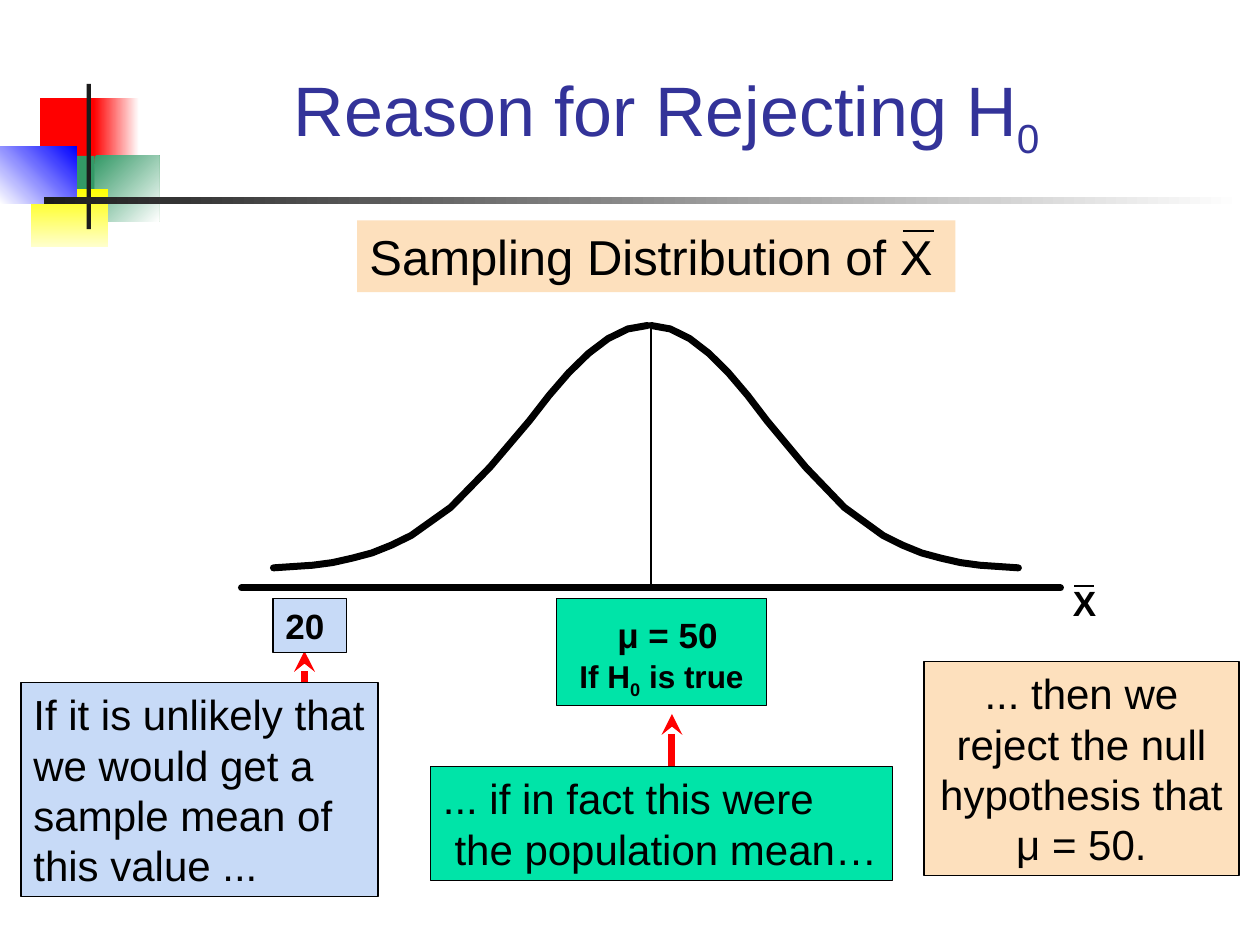
"""Build a slide on the reason for rejecting a null hypothesis."""
from dataclasses import dataclass, field
from typing import Any, Optional

from pptx import Presentation
from pptx.dml.color import RGBColor
from pptx.enum.shapes import MSO_CONNECTOR, MSO_SHAPE
from pptx.enum.text import MSO_ANCHOR, MSO_AUTO_SIZE, PP_ALIGN
from pptx.oxml.ns import qn
from pptx.util import Pt

RECTANGLE = MSO_SHAPE.RECTANGLE
STRAIGHT = MSO_CONNECTOR.STRAIGHT
LEFT, CENTER = PP_ALIGN.LEFT, PP_ALIGN.CENTER
TOP, BOTTOM = MSO_ANCHOR.TOP, MSO_ANCHOR.BOTTOM
GROW, FIXED = MSO_AUTO_SIZE.SHAPE_TO_FIT_TEXT, MSO_AUTO_SIZE.NONE


@dataclass(frozen=True)
class Theme:
    font: str = "Arial"
    black: str = "000000"
    title: str = "333399"
    peach: str = "FDE0BD"
    mint: str = "00E4A8"
    sky: str = "C7DAF7"
    arrow: str = "FF0000"
    red: str = "FF0000"
    green: str = "339966"
    yellow: str = "FFFF00"
    cream: str = "FFFFCC"
    blue: str = "0000FF"
    dark: str = "1C1C1C"
    white: str = "FFFFFF"
    title_size: float = 40
    heading_size: float = 28
    spacer_size: float = 25
    body_size: float = 24
    value_size: float = 20
    note_size: float = 18
    thin: float = 0.75
    bar: float = 1.5
    heavy: float = 4


THEME = Theme()


@dataclass(frozen=True)
class Block:
    left: float
    top: float
    width: float
    height: float
    start: str
    end: Optional[str] = None
    angle: float = 0


@dataclass(frozen=True)
class Span:
    text: str
    size: float
    bold: bool = False
    subscript: bool = False


@dataclass(frozen=True)
class Label:
    left: float
    top: float
    width: float
    height: float
    paragraphs: list[list[Span]]
    fill: Optional[str] = None
    outline: bool = True
    color: str = THEME.black
    align: Any = LEFT
    frame: dict[str, Any] = field(default_factory=dict)


@dataclass(frozen=True)
class Line:
    x1: float
    y1: float
    x2: float
    y2: float
    weight: float
    color: str = THEME.black
    arrow: bool = False
    rounded: bool = False


FRAME = {
    "word_wrap": True, "auto_size": GROW, "vertical_anchor": TOP,
    "margin_left": Pt(7.2), "margin_right": Pt(7.2),
    "margin_top": Pt(3.6), "margin_bottom": Pt(3.6),
}

DECORATION = [
    Block(23, 56, 34.5, 37.5, THEME.red),
    Block(53.5, 56, 26, 37.5, THEME.red, THEME.white),
    Block(54, 89, 37, 37.5, THEME.green, THEME.white, 45),
    Block(31, 89, 23, 37.5, THEME.green),
    Block(18, 108, 44, 33, THEME.yellow, THEME.cream, 90),
    Block(0, 83.5, 44, 33, THEME.white, THEME.blue, 315),
    Block(49.5, 48, 2.5, 83, THEME.dark),
    Block(25, 112.5, 685, 4, THEME.dark, THEME.white),
]

ARROWS = [
    Line(174, 396, 174, 372, THEME.heavy, THEME.arrow, True),
    Line(384, 450, 384, 408, THEME.heavy, THEME.arrow, True),
]

LINES = [
    Line(138, 336, 606, 336, THEME.heavy, rounded=True),
    Line(438, 120, 438, 120, THEME.thin),
    Line(372, 186, 372, 336, THEME.thin),
    Line(516, 132, 534, 132, THEME.bar),
    Line(614, 334.8, 625, 334.8, THEME.bar),
]

LABELS = [
    Label(90.5, 18, 581, 78,
          [[Span("Reason for Rejecting H", THEME.title_size),
            Span("0", THEME.title_size, subscript=True)]],
          outline=False, color=THEME.title, align=CENTER,
          frame={"auto_size": FIXED, "vertical_anchor": BOTTOM}),
    Label(204, 126, 342, 41, [[Span("Sampling Distribution of X", THEME.heading_size)]],
          THEME.peach, outline=False),
    Label(318, 342, 120, 61,
          [[Span(" ", THEME.spacer_size, True), Span("μ = 50", THEME.value_size, True)],
           [Span("If H", THEME.note_size, True), Span("0", THEME.note_size, True, True),
            Span(" is true", THEME.note_size, True)]],
          THEME.mint, align=CENTER),
    Label(12, 390, 204, 122.5,
          [[Span("If it is unlikely that we would get a sample mean of this value ...",
                 THEME.body_size)]], THEME.sky),
    Label(528, 378, 180, 122.5,
          [[Span("... then we reject the null hypothesis that μ = 50.", THEME.body_size)]],
          THEME.peach, align=CENTER),
    Label(156, 342, 42, 31, [[Span("20", THEME.value_size, True)]], THEME.sky),
    Label(246, 438, 264, 65,
          [[Span("... if in fact this were\n the population mean…", THEME.body_size)]],
          THEME.mint),
    Label(606, 329, 42, 31, [[Span("X", THEME.value_size, True)]], outline=False),
]

CURVE_STEPS = [0, 1, 2, 3, 4, 5, 6, 8, 10, 12, 13, 14, 15, 16, 17, 19]
CURVE_HEIGHTS = [186, 188, 193.5, 202, 213, 226, 240.5, 267, 290, 306,
                 311.5, 316, 319, 321.5, 323, 324.5]
CURVE_HALVES = [(372, 11.05), (370, -11.25)]


def rgb(color: str) -> RGBColor:
    return RGBColor.from_string(color)


def apply_format(target: Any, values: dict[str, Any]) -> None:
    for name, value in values.items():
        setattr(target, name, value)


def set_line(shape: Any, color: str, weight: float, rounded: bool = False) -> None:
    shape.line.color.rgb = rgb(color)
    shape.line.width = Pt(weight)
    if rounded:
        shape._element.spPr.find(qn("a:ln")).set("cap", "rnd")


def draw_block(slide: Any, block: Block) -> None:
    shape = slide.shapes.add_shape(
        RECTANGLE, Pt(block.left), Pt(block.top), Pt(block.width), Pt(block.height))
    shape.shadow.inherit = False
    shape.line.fill.background()
    if block.end is None:
        shape.fill.solid()
        shape.fill.fore_color.rgb = rgb(block.start)
        return
    shape.fill.gradient()
    shape.fill.gradient_angle = (360 - block.angle) % 360
    for stop, color in zip(shape.fill.gradient_stops, (block.start, block.end)):
        stop.color.rgb = rgb(color)


def draw_line(slide: Any, line: Line) -> None:
    connector = slide.shapes.add_connector(
        STRAIGHT, Pt(line.x1), Pt(line.y1), Pt(line.x2), Pt(line.y2))
    set_line(connector, line.color, line.weight, line.rounded)
    properties = connector._element.spPr
    if line.arrow:
        outline = properties.find(qn("a:ln"))
        outline.append(outline.makeelement(qn("a:tailEnd"), {"type": "stealth"}))
    properties.append(properties.makeelement(qn("a:effectLst"), {}))


def draw_label(slide: Any, label: Label) -> None:
    shape = slide.shapes.add_textbox(
        Pt(label.left), Pt(label.top), Pt(label.width), Pt(label.height))
    if label.fill:
        shape.fill.solid()
        shape.fill.fore_color.rgb = rgb(label.fill)
    if label.outline:
        set_line(shape, THEME.black, THEME.thin)
    text_frame = shape.text_frame
    apply_format(text_frame, FRAME | label.frame)
    for index, spans in enumerate(label.paragraphs):
        paragraph = text_frame.add_paragraph() if index else text_frame.paragraphs[0]
        paragraph.alignment = label.align
        for span in spans:
            for part, text in enumerate(span.text.split("\n")):
                if part:
                    paragraph.add_line_break()
                run = paragraph.add_run()
                run.text = text
                apply_format(run.font, {
                    "name": THEME.font, "size": Pt(span.size), "bold": span.bold})
                run.font.color.rgb = rgb(label.color)
                if span.subscript:
                    run._r.get_or_add_rPr().set("baseline", "-25000")


def draw_curve_half(slide: Any, center: float, step: float) -> None:
    points = [(Pt(center + step * count), Pt(height))
              for count, height in zip(CURVE_STEPS, CURVE_HEIGHTS)]
    builder = slide.shapes.build_freeform(*points[0])
    builder.add_line_segments(points[1:], close=False)
    shape = builder.convert_to_shape()
    shape.shadow.inherit = False
    shape.fill.background()
    set_line(shape, THEME.black, THEME.heavy, rounded=True)


def main() -> None:
    presentation = Presentation()
    apply_format(presentation, {"slide_width": Pt(720), "slide_height": Pt(540)})
    slide = presentation.slides.add_slide(presentation.slide_layouts[6])
    for block in DECORATION:
        draw_block(slide, block)
    for arrow in ARROWS:
        draw_line(slide, arrow)
    for label in LABELS:
        draw_label(slide, label)
    for center, step in CURVE_HALVES:
        draw_curve_half(slide, center, step)
    for line in LINES:
        draw_line(slide, line)
    presentation.save("out.pptx")


if __name__ == "__main__":
    main()
